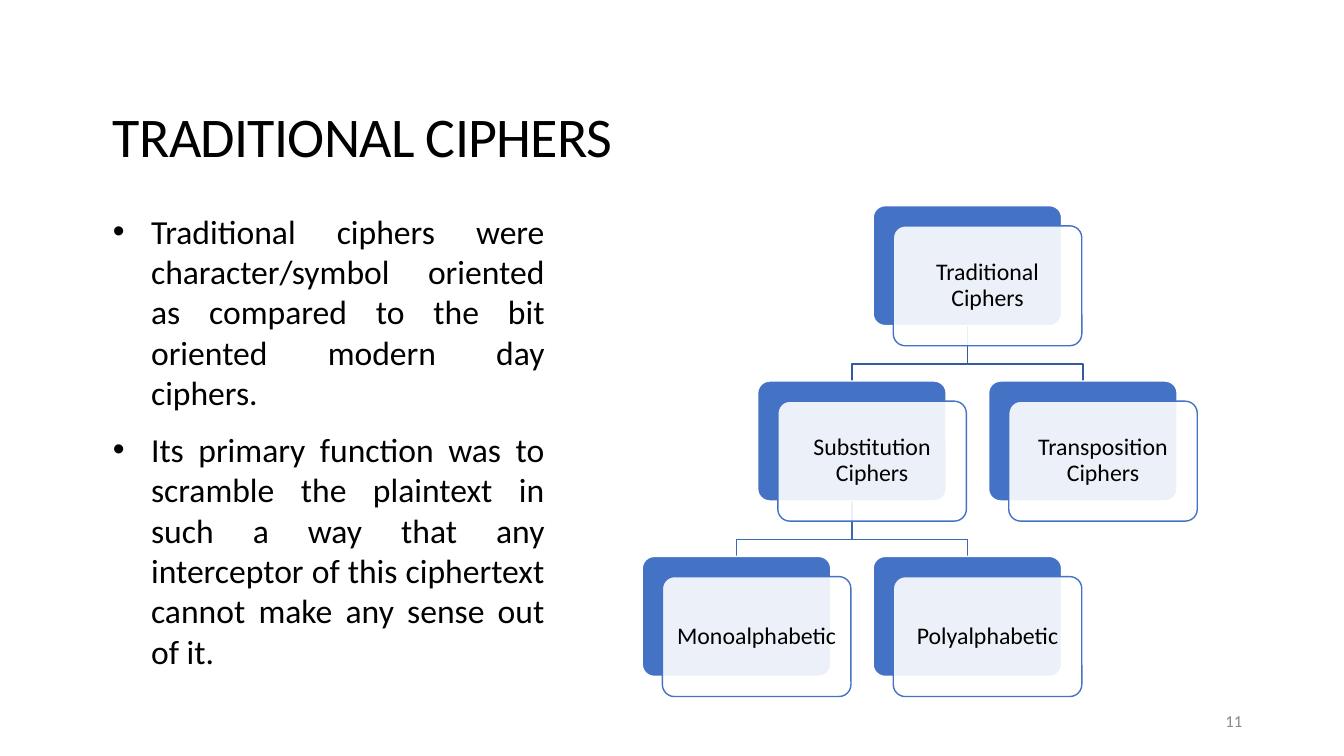
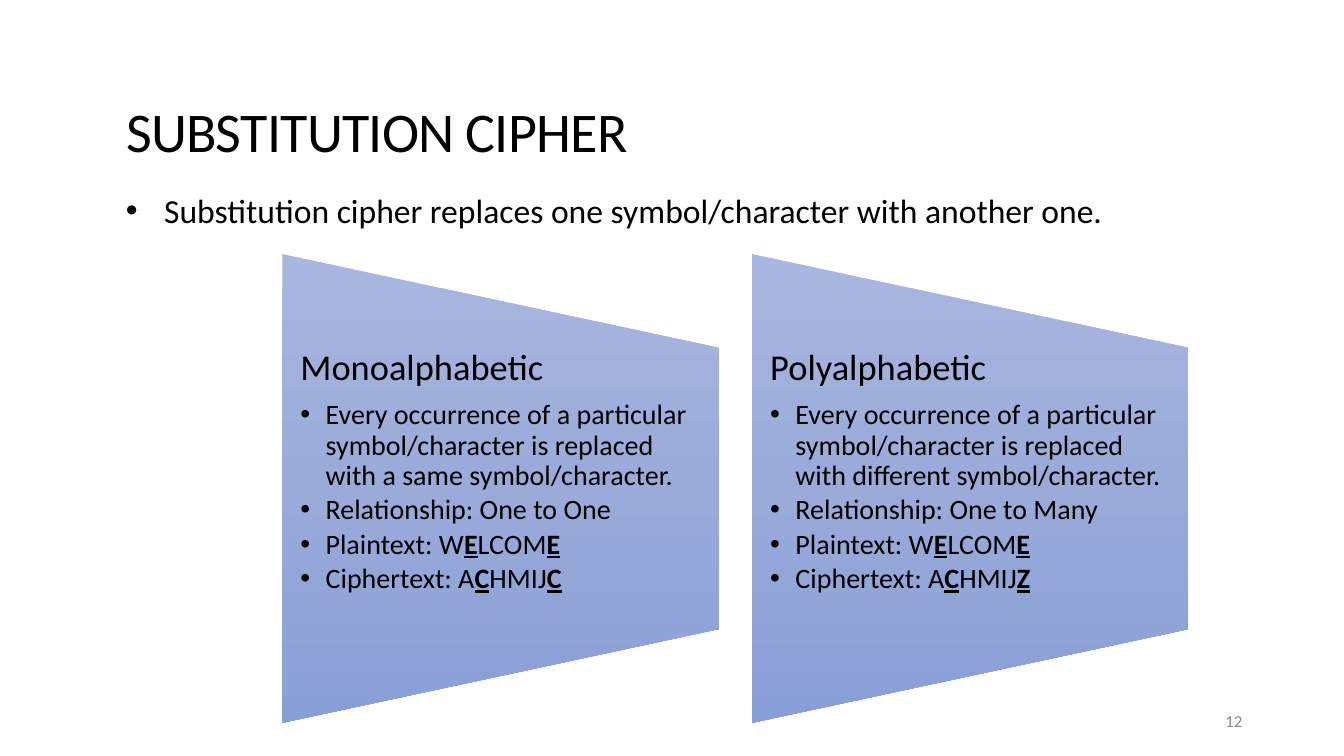
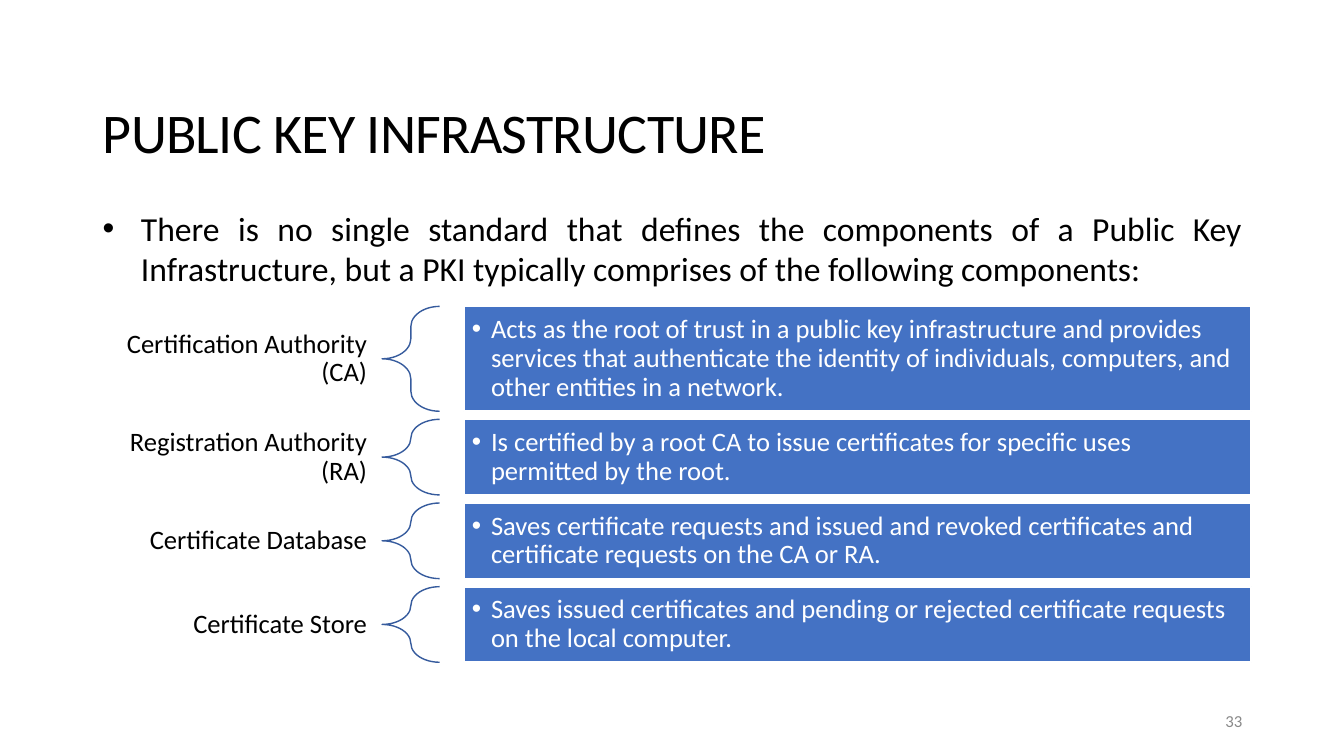
from dataclasses import dataclass

from lxml import etree
from pptx import Presentation
from pptx.dml.color import RGBColor
from pptx.enum import shapes, text
from pptx.oxml import ns
from pptx.util import Inches, Pt


@dataclass(frozen=True)
class Theme:
    font: str = "Calibri"
    black: str = "000000"
    white: str = "FFFFFF"
    gray: str = "898989"
    blue: str = "4472C4"
    brace: str = "365B9D"
    branches: tuple = ("365B9D", "3E67B2")  # one colour for each tree level
    gradient: tuple = ((0, "A8B7DF"), (50, "9AABD9"), (100, "889ED7"))
    title: int = 40
    body: int = 24
    panel_head: int = 26
    panel_item: int = 20
    component: int = 19
    node: int = 17
    footer: int = 12


THEME = Theme()
SHAPE = shapes.MSO_SHAPE
ALIGN = text.PP_ALIGN
ANCHOR = text.MSO_ANCHOR


# Text
def set_bullet(paragraph, indent):
    properties = paragraph._p.get_or_add_pPr()
    properties.set("marL", str(Inches(indent)))
    properties.set("indent", str(-Inches(indent)))
    etree.SubElement(properties, ns.qn("a:buFont"), typeface="Arial")
    etree.SubElement(properties, ns.qn("a:buChar"), char="•")


def write_paragraph(paragraph, content, size, color=THEME.black, align=ALIGN.LEFT,
                    line=None, after=0, indent=None):
    """Write one paragraph; pieces between asterisks are bold and underlined."""
    first, *others = content.split("*")
    paragraph.text = first
    for piece in filter(None, others):
        paragraph.add_run().text = piece
    for index, run in enumerate(paragraph.runs):
        run.font.name = THEME.font
        run.font.size = Pt(size)
        run.font.color.rgb = RGBColor.from_string(color)
        if index % 2:
            run.font.bold = run.font.underline = True
    paragraph.alignment = align
    paragraph.space_before = Pt(0)
    paragraph.space_after = Pt(after)
    if line:
        paragraph.line_spacing = line
    if indent:
        set_bullet(paragraph, indent)


def set_frame(shape, anchor=ANCHOR.TOP, insets=(0.1, 0.05)):
    frame = shape.text_frame
    frame.word_wrap = True
    frame.auto_size = text.MSO_AUTO_SIZE.NONE
    frame.vertical_anchor = anchor
    frame.margin_left = frame.margin_right = Inches(insets[0])
    frame.margin_top = frame.margin_bottom = Inches(insets[1])
    return frame


def add_text(slide, box, **frame_options):
    return set_frame(slide.shapes.add_textbox(*map(Inches, box)), **frame_options)


def add_body(slide, box, items):
    frame = add_text(slide, box)
    for index, item in enumerate(items):
        paragraph = frame.add_paragraph() if index else frame.paragraphs[0]
        write_paragraph(paragraph, item, THEME.body, align=ALIGN.JUSTIFY,
                        after=12, indent=0.38)


# Shapes
def style_shape(shape, fill=None, line=None, width=1):
    shape.shadow.inherit = False
    if fill:
        shape.fill.solid()
        shape.fill.fore_color.rgb = RGBColor.from_string(fill)
    else:
        shape.fill.background()
    if line:
        shape.line.color.rgb = RGBColor.from_string(line)
        shape.line.width = Pt(width)
    else:
        shape.line.fill.background()


def add_shape(slide, kind, box, adjustment=None, **style):
    shape = slide.shapes.add_shape(kind, *map(Inches, box))
    if adjustment is not None:
        shape.adjustments[0] = adjustment
    style_shape(shape, **style)
    return shape


def set_opacity(shape, percent):
    color = shape.fill._xPr.find(ns.qn("a:solidFill"))[0]
    etree.SubElement(color, ns.qn("a:alpha"), val=str(percent * 1000))


def set_gradient(shape, stops):
    """Vertical gradient that stays upright when the shape is turned."""
    shape.fill.gradient()
    shape.fill.gradient_angle = 270
    gradient = shape.fill._xPr.find(ns.qn("a:gradFill"))
    gradient.set("rotWithShape", "0")
    stop_list = gradient.find(ns.qn("a:gsLst"))
    for stop in list(stop_list):
        stop_list.remove(stop)
    for position, color in stops:
        stop = etree.SubElement(stop_list, ns.qn("a:gs"), pos=str(position * 1000))
        etree.SubElement(stop, ns.qn("a:srgbClr"), val=color)


# Shared slide parts
def add_slide(presentation, title, left, top, number):
    slide = presentation.slides.add_slide(presentation.slide_layouts[5])
    heading = slide.shapes.title
    heading.left, heading.top, heading.width, heading.height = map(
        Inches, (left, top, 11, 0.97))
    paragraph = set_frame(heading, anchor=ANCHOR.MIDDLE).paragraphs[0]
    write_paragraph(paragraph, title, THEME.title, line=0.85)
    for run in paragraph.runs:
        run.font._element.set("spc", "-50")
    footer = add_text(slide, (9.42, 6.95, 3, 0.4), anchor=ANCHOR.MIDDLE)
    write_paragraph(footer.paragraphs[0], str(number), THEME.footer,
                    THEME.gray, ALIGN.RIGHT)
    return slide


# Cipher tree: each node has a column, a row and the name of its parent
NODE_WIDTH, NODE_HEIGHT, PANEL_OFFSET = 1.87, 1.19, 0.2
CIPHERS = {
    "Traditional Ciphers": (1, 0, None),
    "Substitution Ciphers": (0.5, 1, "Traditional Ciphers"),
    "Transposition Ciphers": (1.5, 1, "Traditional Ciphers"),
    "Monoalphabetic": (0, 2, "Substitution Ciphers"),
    "Polyalphabetic": (1, 2, "Substitution Ciphers"),
}


def node_corner(name):
    column, row, _ = CIPHERS[name]
    return 6.37 + 2.29 * column, 2.04 + 1.74 * row


def add_branch(slide, parent, child):
    parent_left, parent_top = node_corner(parent)
    child_left, child_top = node_corner(child)
    start_x, end_x = parent_left + NODE_WIDTH / 2, child_left + NODE_WIDTH / 2
    start_y, bend_y = parent_top + NODE_HEIGHT, child_top - 0.17
    points = [(start_x, bend_y), (end_x, bend_y), (end_x, child_top)]
    builder = slide.shapes.build_freeform(Inches(start_x), Inches(start_y))
    builder.add_line_segments([tuple(map(Inches, point)) for point in points],
                              close=False)
    style_shape(builder.convert_to_shape(), line=THEME.branches[CIPHERS[parent][1]])


def add_node(slide, name):
    left, top = node_corner(name)
    size = (NODE_WIDTH, NODE_HEIGHT)
    add_shape(slide, SHAPE.ROUNDED_RECTANGLE, (left, top, *size), 0.1,
              fill=THEME.blue, line=THEME.white)
    panel = add_shape(slide, SHAPE.ROUNDED_RECTANGLE,
                      (left + PANEL_OFFSET, top + PANEL_OFFSET, *size), 0.1,
                      fill=THEME.white, line=THEME.blue)
    set_opacity(panel, 90)
    frame = set_frame(panel, ANCHOR.MIDDLE, (0.07, 0.07))
    write_paragraph(frame.paragraphs[0], name, THEME.node,
                    align=ALIGN.CENTER, line=0.9)


def build_traditional(presentation):
    slide = add_slide(presentation, "TRADITIONAL CIPHERS", 1.02, 0.91, 11)
    add_body(slide, (1.02, 2.04, 4.48, 5.18), [
        "Traditional ciphers were character/symbol oriented as compared to the "
        "bit oriented modern day ciphers.",
        "Its primary function was to scramble the plaintext in such a way that any "
        "interceptor of this ciphertext cannot make any sense out of it.",
    ])
    for name, (_, _, parent) in CIPHERS.items():
        if parent:
            add_branch(slide, parent, name)
    for name in CIPHERS:
        add_node(slide, name)


# Substitution panels
def add_cipher_panel(slide, left, name, replacement, relationship, ciphertext):
    panel = add_shape(slide, SHAPE.FLOWCHART_MANUAL_OPERATION,
                      (left, 2.68, 4.65, 4.33))
    panel.rotation = 270
    set_gradient(panel, THEME.gradient)
    frame = add_text(slide, (left + 0.16, 3.46, 4.33, 2.79), insets=(0.18, 0))
    write_paragraph(frame.paragraphs[0], name, THEME.panel_head, line=0.9, after=9)
    for item in (
        "Every occurrence of a particular symbol/character is replaced "
        f"with {replacement} symbol/character.",
        f"Relationship: One to {relationship}",
        "Plaintext: W*E*LCOM*E*",
        f"Ciphertext: {ciphertext}",
    ):
        write_paragraph(frame.add_paragraph(), item, THEME.panel_item,
                        line=0.9, after=3, indent=0.25)


def build_substitution(presentation):
    slide = add_slide(presentation, "SUBSTITUTION CIPHER", 1.15, 0.86, 12)
    add_body(slide, (1.15, 1.83, 11.9, 5.35), [
        "Substitution cipher replaces one symbol/character with another one."])
    add_cipher_panel(slide, 2.64, "Monoalphabetic", "a same", "One", "A*C*HMIJ*C*")
    add_cipher_panel(slide, 7.3, "Polyalphabetic", "different", "Many", "A*C*HMIJ*Z*")


# Key infrastructure rows: label, description, row height
COMPONENTS = [
    ("Certification Authority (CA)",
     "Acts as the root of trust in a public key infrastructure and provides services "
     "that authenticate the identity of individuals, computers, and other entities "
     "in a network.", 1.04),
    ("Registration Authority (RA)",
     "Is certified by a root CA to issue certificates for specific uses permitted "
     "by the root.", 0.75),
    ("Certificate Database",
     "Saves certificate requests and issued and revoked certificates and certificate "
     "requests on the CA or RA.", 0.75),
    ("Certificate Store",
     "Saves issued certificates and pending or rejected certificate requests on the "
     "local computer.", 0.75),
]


def add_component(slide, top, label, description, height):
    frame = add_text(slide, (0.92, top, 2.87, height),
                     anchor=ANCHOR.MIDDLE, insets=(0.15, 0.05))
    write_paragraph(frame.paragraphs[0], label, THEME.component,
                    align=ALIGN.RIGHT, line=0.9)
    add_shape(slide, SHAPE.LEFT_BRACE, (3.79, top, 0.57, height), 0.35,
              line=THEME.brace)
    bar = add_shape(slide, SHAPE.RECTANGLE, (4.6, top, 7.81, height),
                    fill=THEME.blue, line=THEME.white, width=1.5)
    frame = set_frame(bar, ANCHOR.MIDDLE, (0.08, 0.08))
    write_paragraph(frame.paragraphs[0], description, THEME.component, THEME.white,
                    line=0.9, indent=0.19)


def build_infrastructure(presentation):
    slide = add_slide(presentation, "PUBLIC KEY INFRASTRUCTURE", 0.92, 0.87, 33)
    add_body(slide, (0.92, 2.01, 11.5, 5.18), [
        "There is no single standard that defines the components of a Public Key "
        "Infrastructure, but a PKI typically comprises of the following components:"])
    top = 3.04
    for label, description, height in COMPONENTS:
        add_component(slide, top, label, description, height)
        top += height + 0.08


def main():
    presentation = Presentation()
    presentation.slide_width = Inches(13.33)
    presentation.slide_height = Inches(7.5)
    build_traditional(presentation)
    build_substitution(presentation)
    build_infrastructure(presentation)
    presentation.save("out.pptx")


if __name__ == "__main__":
    main()
